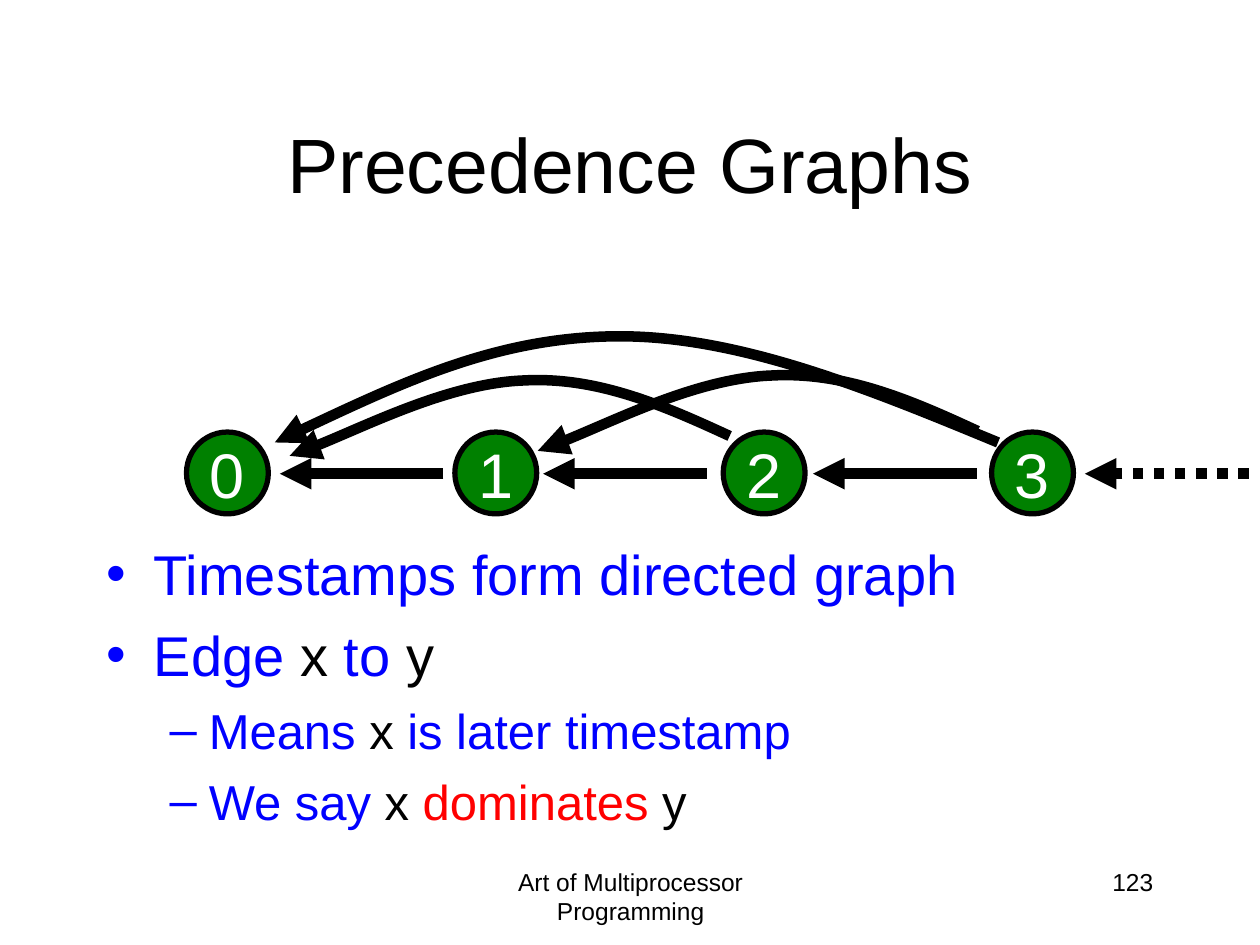
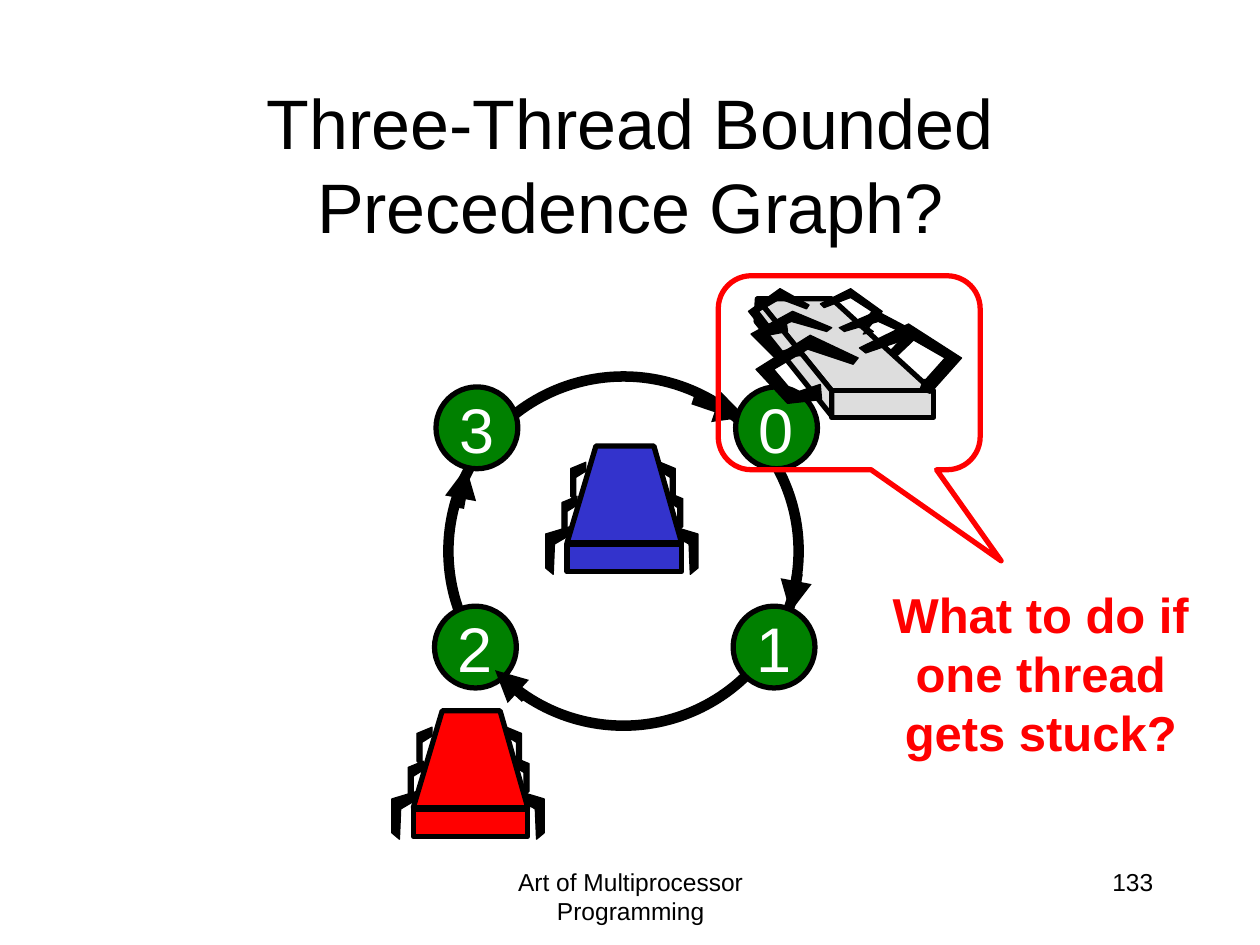
from lxml import etree
from pptx import Presentation
from pptx import util as u
from pptx.dml.color import RGBColor
from pptx.enum import dml, shapes, text
from pptx.oxml import ns

Cm, Pt = u.Cm, u.Pt
FONT = "Arial"
BLACK, WHITE, RED, BLUE = "000000", "FFFFFF", "FF0000", "0000FF"
NODE_GREEN, THREAD_BLUE, STUCK_GREY = "008000", "3333CC", "DDDDDD"
TITLE_BOX = (1.9, 1.7, 21.6, 3.18)
FOOTER_BOX = (8.69, 17.35, 8.05, 1.27)
NUMBER_BOX = (18.2, 17.35, 5.3, 1.27)
FOOTER = "Art of Multiprocessor Programming"
NODE_SIZE = 1.65
EDGE, OUTLINE, HAIRLINE = 6, 3, 0.75
CENTER, RIGHT, LEFT = text.PP_ALIGN.CENTER, text.PP_ALIGN.RIGHT, text.PP_ALIGN.LEFT
TOP, MIDDLE = text.MSO_ANCHOR.TOP, text.MSO_ANCHOR.MIDDLE

LARGE_LEG = [(0, 0), (20, 6), (20, 33), (14, 38), (13, 14), (1, 7)]
SMALL_LEG = [(0, 0), (12, 5), (12, 27), (8, 31), (8, 12), (0, 7)]
THREAD_GRID = 121
THREAD_BACK = [(17, 77), (40, 0), (86, 0), (108, 77)]
REAR_LEGS = [(LARGE_LEG, 101, 64, 1), (SMALL_LEG, 97, 37, 1),
             (LARGE_LEG, 20, 64, -1), (SMALL_LEG, 25, 40, -1)]
TOP_LEGS = [(SMALL_LEG, 91, 13, 1), (SMALL_LEG, 32, 13, -1)]

STUCK_GRID = 170
STUCK_BACK = [(7, 8), (66, 81), (146, 81), (66, 8)]
STUCK_SIDE = [(7, 8), (6, 26), (66, 101), (66, 81)]
STUCK_LEGS = [
    [(57, 76), (58, 88), (31, 91), (6, 64), (49, 37), (87, 55), (83, 60), (47, 48), (20, 64), (36, 83)],
    [(42, 45), (43, 53), (21, 55), (2, 36), (35, 18), (66, 31), (62, 34), (34, 26), (13, 36), (26, 50)],
    [(30, 27), (31, 34), (15, 37), (0, 18), (25, 0), (48, 13), (46, 16), (25, 8), (8, 18), (18, 31)],
    [(109, 44), (112, 51), (116, 55), (136, 36), (102, 18), (72, 31), (76, 34), (103, 26), (125, 36), (112, 50)],
    [(88, 26), (99, 34), (91, 36), (106, 18), (81, 0), (57, 12), (60, 15), (81, 7), (98, 18), (88, 31)],
    [(141, 76), (138, 75), (136, 80), (144, 83), (169, 55), (127, 28), (88, 47), (93, 51), (128, 39),
     (156, 55), (139, 74), (141, 72), (135, 72)],
]

LONG_ARC = [(1636, 214), (1377, 107), (1118, 0), (874, 0), (630, 0), (404, 107), (178, 214)]
SHORT_ARC = [(1095, 201), (963, 140), (828, 81), (681, 89), (533, 94), (287, 216), (208, 241)]


def color(value):
    return RGBColor.from_string(value)


def apply(target, values):
    for name, value in values.items():
        setattr(target, name, value)


def paint(part, fill, line, width):
    part.shadow.inherit = False
    if fill:
        part.fill.solid()
        part.fill.fore_color.rgb = color(fill)
    else:
        part.fill.background()
    part.line.color.rgb = color(line)
    part.line.width = Pt(width)
    return part


def add_run(paragraph, words, size, ink, bold=False):
    run = paragraph.add_run()
    run.text = words
    apply(run.font, {"name": FONT, "size": Pt(size), "bold": bold})
    run.font.color.rgb = color(ink)


def add_words(slide, box, words, size, align=CENTER, anchor=TOP, ink=BLACK, bold=False):
    frame = slide.shapes.add_textbox(*map(Cm, box)).text_frame
    apply(frame, {"word_wrap": True, "vertical_anchor": anchor})
    frame.paragraphs[0].alignment = align
    add_run(frame.paragraphs[0], words, size, ink, bold)


def add_preset(slide, kind, box, fill, line, width):
    return paint(slide.shapes.add_shape(kind, *map(Cm, box)), fill, line, width)


def add_outline(slide, left, top, unit, points, closed=True):
    builder = slide.shapes.build_freeform(*points[0], scale=unit)
    builder.add_line_segments(points[1:], close=closed)
    return builder.convert_to_shape(Cm(left), Cm(top))


def add_arrowhead(part):
    line = part.line._get_or_add_ln()
    etree.SubElement(line, ns.qn("a:tailEnd"), type="triangle")


def add_edge(slide, start, end, dash=None):
    edge = slide.shapes.add_connector(shapes.MSO_CONNECTOR.STRAIGHT, *map(Cm, start + end))
    edge.line.color.rgb = color(BLACK)
    edge.line.width = Pt(EDGE)
    if dash:
        edge.line.dash_style = dash
    add_arrowhead(edge)
    etree.SubElement(edge._element.spPr, ns.qn("a:effectLst"))


def add_arc(slide, left, top, points):
    arc = paint(add_outline(slide, left, top, Cm(0.01), points, False), None, BLACK, EDGE)
    segments = list(arc._element.iter(ns.qn("a:lnTo")))
    for i in range(0, len(segments), 3):
        curve = etree.SubElement(segments[i].getparent(), ns.qn("a:cubicBezTo"))
        for segment in segments[i:i + 3]:
            curve.append(segment[0])
            segment.getparent().remove(segment)
    add_arrowhead(arc)


def add_node(slide, left, top, label):
    node = add_preset(slide, shapes.MSO_SHAPE.OVAL, (left, top, NODE_SIZE, NODE_SIZE),
                      NODE_GREEN, BLACK, OUTLINE)
    apply(node.text_frame, {"word_wrap": False, "vertical_anchor": MIDDLE})
    node.text_frame.paragraphs[0].alignment = CENTER
    add_run(node.text_frame.paragraphs[0], label, 36, WHITE)


def add_base(deck, title, title_size, number):
    slide = deck.slides.add_slide(deck.slide_layouts[6])
    add_words(slide, FOOTER_BOX, FOOTER, 14)
    add_words(slide, NUMBER_BOX, number, 14, RIGHT)
    add_words(slide, TITLE_BOX, title, title_size, anchor=MIDDLE)
    return slide


def add_timeline(slide, left, top):
    for i in range(4):
        add_node(slide, left + 5.41 * i, top + 1.93, str(i))
    for i, start in enumerate((5.18, 10.49, 15.93, 21.41)):
        dash = dml.MSO_LINE.ROUND_DOT if i == 3 else None
        y = top + 2.77
        add_edge(slide, (left + start, y), (left + start - 3.3, y), dash)
    shifted_arc = [(x + 500, y - 10) for x, y in SHORT_ARC]
    for arc in (LONG_ARC, SHORT_ARC, shifted_arc):
        add_arc(slide, left, top, arc)


def add_bullet(paragraph, mark, margin, hang):
    props = paragraph._p.get_or_add_pPr()
    props.set("marL", str(Cm(margin)))
    props.set("indent", str(Cm(-hang)))
    ink = etree.SubElement(props, ns.qn("a:buClr"))
    etree.SubElement(ink, ns.qn("a:srgbClr"), val=BLUE)
    etree.SubElement(props, ns.qn("a:buFont"), typeface=FONT)
    etree.SubElement(props, ns.qn("a:buChar"), char=mark)


def add_points(slide, box):
    levels = [("•", 0.95, 0.95, 32, 8), ("–", 2.06, 0.79, 28, 7)]
    points = [
        (0, [("Timestamps form directed graph", BLUE)]),
        (0, [("Edge ", BLUE), ("x", BLACK), (" to ", BLUE), ("y", BLACK)]),
        (1, [("Means ", BLUE), ("x", BLACK), (" is later timestamp", BLUE)]),
        (1, [("We say ", BLUE), ("x ", BLACK), ("dominates ", RED), ("y", BLACK)]),
    ]
    frame = slide.shapes.add_textbox(*map(Cm, box)).text_frame
    frame.word_wrap = True
    for i, (level, pieces) in enumerate(points):
        mark, margin, hang, size, gap = levels[level]
        paragraph = frame.add_paragraph() if i else frame.paragraphs[0]
        add_bullet(paragraph, mark, margin, hang)
        apply(paragraph, {"level": level, "alignment": LEFT, "space_before": Pt(gap if i else 0)})
        for words, ink in pieces:
            add_run(paragraph, words, size, ink)


def add_ring(slide, left, top, width, height):
    def place(x, y):
        return left + x, top + y

    add_preset(slide, shapes.MSO_SHAPE.OVAL, (left, top, width, height), None, BLACK, EDGE)
    add_edge(slide, place(4.93, 0.46), place(6, 0.82))
    for label, x, y in (("0", 5.79, 0.21), ("1", 5.74, 4.63), ("2", -0.28, 4.63), ("3", -0.25, 0.21)):
        add_node(slide, *place(x, y), label)
    for x1, y1, x2, y2 in ((7.04, 3.97, 6.89, 4.75), (1.55, 6.48, 0.94, 5.92), (0.21, 2.65, 0.36, 1.83)):
        add_edge(slide, place(x1, y1), place(x2, y2))


def add_front(slide, left, top, step, fill, cells):
    x, y, w, h = (cell * step for cell in cells)
    add_preset(slide, shapes.MSO_SHAPE.RECTANGLE, (left + x, top + y, w, h), fill, BLACK, OUTLINE)


def add_thread(slide, left, top, width, fill):
    step = width / THREAD_GRID

    def add_legs(legs):
        for profile, x, y, side in legs:
            points = [(x + side * dx, y + dy) for dx, dy in profile]
            paint(add_outline(slide, left, top, Cm(step), points), BLACK, BLACK, HAIRLINE)

    add_legs(REAR_LEGS)
    paint(add_outline(slide, left, top, Cm(step), THREAD_BACK), fill, BLACK, OUTLINE)
    add_front(slide, left, top, step, fill, (17, 78, 91, 22))
    add_legs(TOP_LEGS)


def add_stuck_thread(slide, left, top, width):
    step = width / STUCK_GRID
    paint(add_outline(slide, left, top, Cm(step), STUCK_BACK), STUCK_GREY, BLACK, OUTLINE)
    add_front(slide, left, top, step, STUCK_GREY, (66, 81, 81, 21))
    paint(add_outline(slide, left, top, Cm(step), STUCK_SIDE), STUCK_GREY, BLACK, OUTLINE)
    for leg in STUCK_LEGS:
        paint(add_outline(slide, left, top, Cm(step), leg), BLACK, BLACK, HAIRLINE)


def add_stuck_callout(slide, left, top, width, height):
    add_stuck_thread(slide, left + 0.61, top + 0.26, 4.32)
    callout = add_preset(slide, shapes.MSO_SHAPE.ROUNDED_RECTANGULAR_CALLOUT,
                         (left, top, width, height), None, RED, OUTLINE)
    for i, value in enumerate((0.58, 0.97, 0.17)):
        callout.adjustments[i] = value
    add_words(slide, (left + 2.69, top + 6.1, 7.62, 3.81),
              "What to do if one thread gets stuck?", 28, ink=RED, bold=True)


def main():
    deck = Presentation()
    apply(deck, {"slide_width": Cm(25.4), "slide_height": Cm(19.05)})

    graphs = add_base(deck, "Precedence Graphs", 44, "123")
    add_timeline(graphs, 3.76, 6.78)
    add_points(graphs, (1.9, 10.75, 21.6, 6.2))

    bounded = add_base(deck, "Three-Thread Bounded Precedence Graph?", 40, "133")
    add_ring(bounded, 9.04, 7.59, 7.06, 7.04)
    add_thread(bounded, 7.9, 14.33, 3.07, RED)
    add_thread(bounded, 11, 8.99, 3.07, THREAD_BLUE)
    add_stuck_callout(bounded, 14.48, 5.56, 5.28, 3.91)

    deck.save("out.pptx")


if __name__ == "__main__":
    main()
